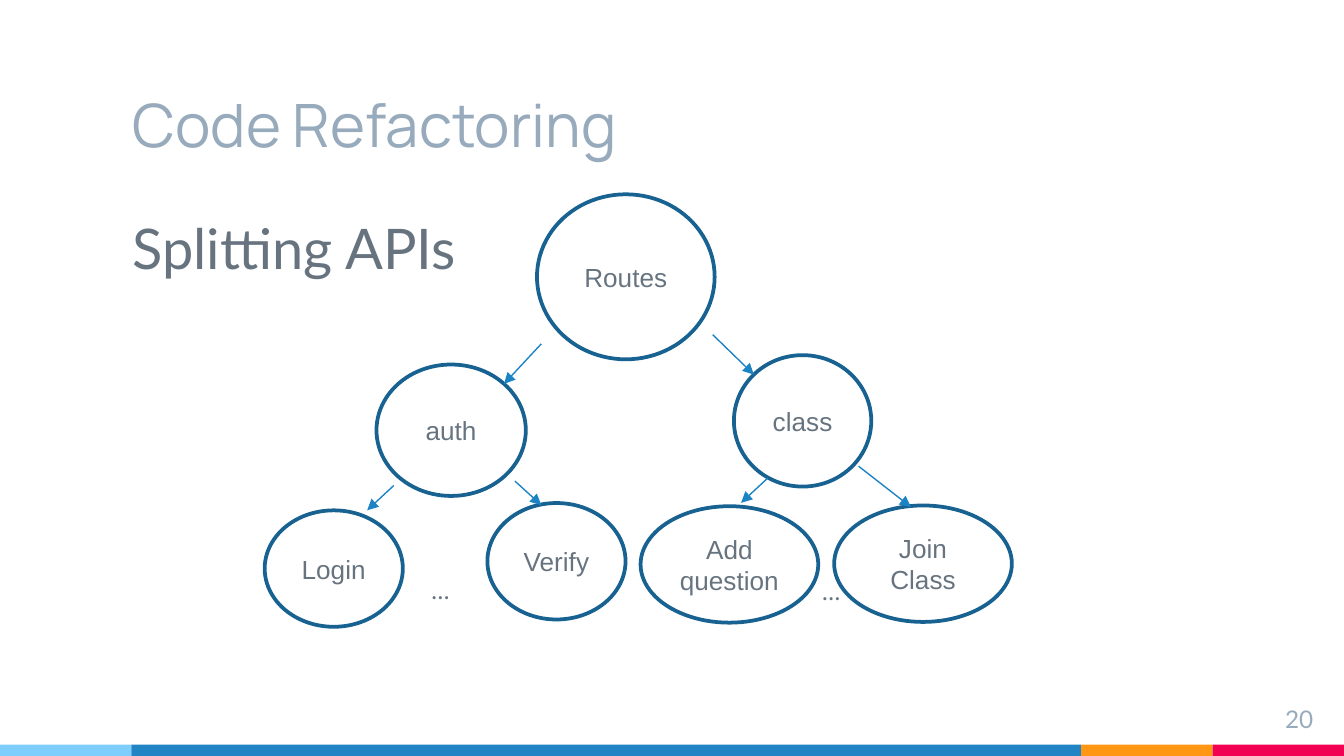
import pptx
import pptx.util
import pptx.dml.color
import pptx.enum.shapes
import pptx.enum.text
import pptx.oxml.ns
import lxml.etree

Pt = pptx.util.Pt
RGBColor = pptx.dml.color.RGBColor
ALIGN = pptx.enum.text.PP_ALIGN
ANCHOR = pptx.enum.text.MSO_ANCHOR
SHAPE = pptx.enum.shapes.MSO_SHAPE

SKY = RGBColor(0x7E, 0xCE, 0xFD)
BLUE = RGBColor(0x21, 0x85, 0xC5)
ORANGE = RGBColor(0xFF, 0x97, 0x15)
RED = RGBColor(0xF2, 0x02, 0x53)
OUTLINE = RGBColor(0x18, 0x62, 0x92)
ARROW = RGBColor(0x1C, 0x83, 0xC5)
PALE = RGBColor(0x97, 0xAB, 0xBC)
GREY = RGBColor(0x67, 0x74, 0x80)

SLIDE_WIDTH, SLIDE_HEIGHT = 720, 405
BAND_TOP = 398.9
BANDS = [(SKY, 70.4), (BLUE, 508.8), (ORANGE, 70.4), (RED, 70.4)]

TITLE_FONT = {"name": "Manrope", "size": Pt(32), "color": PALE}
BODY_FONT = {"name": "Lato", "size": Pt(30), "color": GREY}
NUMBER_FONT = {"name": "Lato", "size": Pt(13), "color": PALE}
DOTS_FONT = {"name": "Lato", "size": Pt(13), "color": GREY}
NODE_FONT = {"name": "Arial", "size": Pt(14), "color": GREY}

LEFT_TOP = {"alignment": ALIGN.LEFT}
RIGHT = {"alignment": ALIGN.RIGHT}
CENTER = {"alignment": ALIGN.CENTER}
SPACED = {"alignment": ALIGN.LEFT, "space_before": Pt(6)}

TEXTS = [
    ("Code Refactoring", (64, 25.2, 509, 67.7), TITLE_FONT, LEFT_TOP, ANCHOR.BOTTOM),
    ("20", (667.4, 370, 43.2, 24.5), NUMBER_FONT, RIGHT, ANCHOR.TOP),
    ("Splitting APIs", (64, 107.3, 489.6, 37.4), BODY_FONT, SPACED, ANCHOR.TOP),
    ("…", (224, 301, 43.2, 37.4), DOTS_FONT, SPACED, ANCHOR.TOP),
    ("…", (433.4, 301.7, 43.2, 37.4), DOTS_FONT, SPACED, ANCHOR.TOP),
]

NODES = [
    ("Routes", (287.7, 104.1, 95.2, 88.4)),
    ("auth", (201.7, 195.3, 80, 70.4)),
    ("class", (393.2, 190.3, 73.6, 70.4)),
    ("Login", (141.8, 273.4, 74, 62.4)),
    ("Verify", (261.1, 269.5, 74, 62.4)),
    ("Add question", (343.2, 271.2, 95.2, 62.4)),
    ("Join Class", (446.9, 270.8, 95.2, 62.4)),
]

ARROWS = [
    ((290, 184.2), (270, 205.7)),
    ((381.8, 179.3), (403.9, 200.7)),
    ((211, 260.1), (196.7, 273.4)),
    ((275.9, 257.8), (290, 270.6)),
    ((411.2, 256.2), (397, 269.4)),
    ((460, 249.8), (488, 271.6)),
]


def apply(target, values):
    for name, value in values.items():
        setattr(target, name, value)


def write(shape, text, font, paragraph_format, anchor, margin):
    frame = shape.text_frame
    sides = ("left", "top", "right", "bottom")
    apply(frame, {f"margin_{side}": Pt(margin) for side in sides})
    apply(frame, {"word_wrap": True, "vertical_anchor": anchor})
    paragraph = frame.paragraphs[0]
    apply(paragraph, paragraph_format)
    run = paragraph.add_run()
    run.text = text
    apply(run.font, {"name": font["name"], "size": font["size"]})
    run.font.color.rgb = font["color"]


def add_band(slide, left, width, color):
    shape = slide.shapes.add_shape(
        SHAPE.RECTANGLE, Pt(left), Pt(BAND_TOP), Pt(width), Pt(SLIDE_HEIGHT - BAND_TOP))
    shape.shadow.inherit = False
    shape.fill.solid()
    shape.fill.fore_color.rgb = color
    shape.line.fill.background()


def add_node(slide, text, box):
    shape = slide.shapes.add_shape(SHAPE.OVAL, *map(Pt, box))
    shape.shadow.inherit = False
    shape.fill.background()
    shape.line.color.rgb = OUTLINE
    shape.line.width = Pt(2)
    write(shape, text, NODE_FONT, CENTER, ANCHOR.MIDDLE, 6)


def add_arrow(slide, start, end):
    connector = slide.shapes.add_connector(
        pptx.enum.shapes.MSO_CONNECTOR.STRAIGHT, *map(Pt, start + end))
    connector.line.color.rgb = ARROW
    connector.line.width = Pt(0.75)
    qn = pptx.oxml.ns.qn
    line = connector.line._get_or_add_ln()
    lxml.etree.SubElement(line, qn("a:tailEnd"), type="triangle")
    lxml.etree.SubElement(line.getparent(), qn("a:effectLst"))


def main():
    presentation = pptx.Presentation()
    apply(presentation, {"slide_width": Pt(SLIDE_WIDTH), "slide_height": Pt(SLIDE_HEIGHT)})
    slide = presentation.slides.add_slide(presentation.slide_layouts[6])
    left = 0
    for color, width in BANDS:
        add_band(slide, left, width, color)
        left += width
    for text, box, font, paragraph_format, anchor in TEXTS:
        shape = slide.shapes.add_textbox(*map(Pt, box))
        write(shape, text, font, paragraph_format, anchor, 7.2)
    for text, box in NODES:
        add_node(slide, text, box)
    for start, end in ARROWS:
        add_arrow(slide, start, end)
    presentation.save("out.pptx")


if __name__ == "__main__":
    main()
